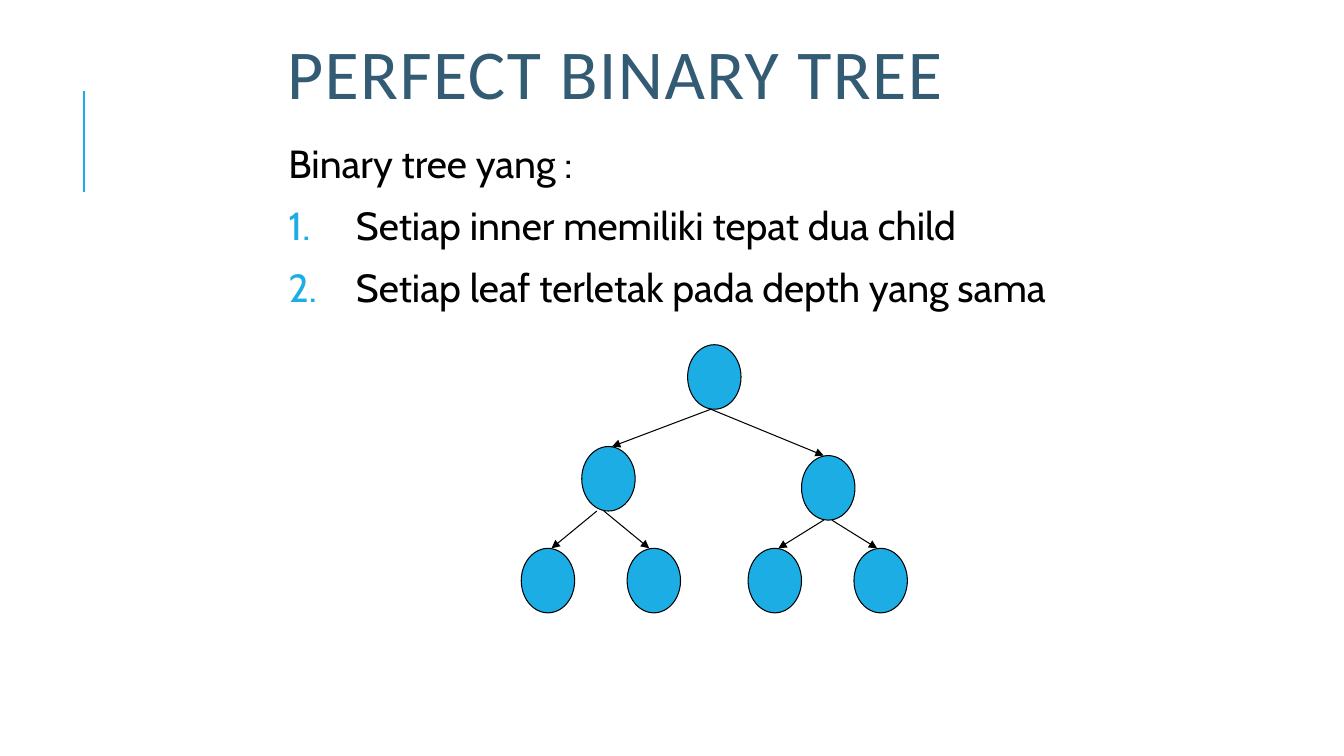
from pptx import Presentation
from pptx.dml.color import RGBColor
from pptx.enum.shapes import MSO_CONNECTOR, MSO_SHAPE
from pptx.enum.text import MSO_ANCHOR
from pptx.oxml.ns import qn
from pptx.util import Inches, Pt
from lxml.etree import SubElement

BLUE, NAVY, BLACK = "1CADE4", "335B74", "000000"
NODE_W, NODE_H = 0.53, 0.64
LEAF_TOP = 5.44

# Left and top of each node
NODES = [(6.82, 3.42), (5.77, 4.43), (7.95, 4.52)]
NODES += [(left, LEAF_TOP) for left in (5.17, 6.22, 7.42, 8.47)]

# Start and end of each branch
BRANCHES = [
    ((7.05, 4.06), (6.07, 4.43)), ((7.05, 4.06), (8.17, 4.52)),
    ((5.92, 5.07), (5.47, LEAF_TOP)), ((5.99, 5.07), (6.44, LEAF_TOP)),
    ((8.17, 5.16), (7.72, LEAF_TOP)), ((8.25, 5.16), (8.7, LEAF_TOP)),
]


def rgb(color):
    return RGBColor.from_string(color)


def add_text_box(slide, left, top, width, height, inset=None, anchor=MSO_ANCHOR.TOP):
    tf = slide.shapes.add_textbox(
        Inches(left), Inches(top), Inches(width), Inches(height)).text_frame
    tf.word_wrap = True
    tf.vertical_anchor = anchor
    if inset is not None:
        tf.margin_left = tf.margin_right = Inches(inset)
        tf.margin_top = tf.margin_bottom = Inches(inset)
    return tf


def add_text(p, text, size, font, color, line_spacing, before=0, after=0, tracking=0):
    p.line_spacing = line_spacing
    p.space_before, p.space_after = Pt(before), Pt(after)
    r = p.add_run()
    r.text = text
    r.font.size, r.font.name = Pt(size), font
    r.font.color.rgb = rgb(color)
    if tracking:
        r.font._element.set("spc", str(tracking * 100))


def number_paragraph(p, color, indent):
    pPr = p._p.get_or_add_pPr()
    pPr.set("marL", str(Inches(indent)))
    pPr.set("indent", str(-Inches(indent)))
    SubElement(SubElement(pPr, qn("a:buClr")), qn("a:srgbClr"), val=color)
    SubElement(pPr, qn("a:buAutoNum"), type="arabicPeriod")


def add_node(slide, left, top):
    sp = slide.shapes.add_shape(
        MSO_SHAPE.OVAL, Inches(left), Inches(top), Inches(NODE_W), Inches(NODE_H))
    sp.shadow.inherit = False
    sp.fill.solid()
    sp.fill.fore_color.rgb = rgb(BLUE)
    sp.line.color.rgb = rgb(BLACK)
    sp.line.width = Pt(0.75)


def add_line(slide, start, end, color, width, arrow=False):
    line = slide.shapes.add_connector(
        MSO_CONNECTOR.STRAIGHT, *[Inches(v) for v in (*start, *end)])
    line.line.color.rgb = rgb(color)
    line.line.width = Pt(width)
    if arrow:
        SubElement(line.line._get_or_add_ln(), qn("a:tailEnd"), type="triangle")
    SubElement(line._element.spPr, qn("a:effectLst"))


def main():
    prs = Presentation()
    prs.slide_width, prs.slide_height = Inches(13.33), Inches(7.5)
    s = prs.slides.add_slide(prs.slide_layouts[6])

    # Side accent and title
    add_line(s, (0.83, 1.9), (0.83, 0.9), BLUE, 1.5)
    tf = add_text_box(s, 2.75, 0.36, 8.04, 0.81, anchor=MSO_ANCHOR.BOTTOM)
    add_text(tf.paragraphs[0], "PERFECT BINARY TREE", 50, "Calibri", NAVY, 0.8, tracking=1)

    # Definition with numbered conditions
    body = {"size": 28, "font": "Cabin", "color": BLACK, "line_spacing": 0.9, "after": 2}
    tf = add_text_box(s, 2.81, 1.39, 8.42, 1.58, inset=0.05)
    add_text(tf.paragraphs[0], "Binary tree yang :", **body)
    for condition in ("Setiap inner memiliki tepat dua child",
                      "Setiap leaf terletak pada depth yang sama"):
        p = tf.add_paragraph()
        number_paragraph(p, BLUE, 0.67)
        add_text(p, condition, before=12, **body)

    # Tree
    for left, top in NODES:
        add_node(s, left, top)
    for start, end in BRANCHES:
        add_line(s, start, end, BLACK, 0.75, arrow=True)

    prs.save("out.pptx")


if __name__ == "__main__":
    main()
